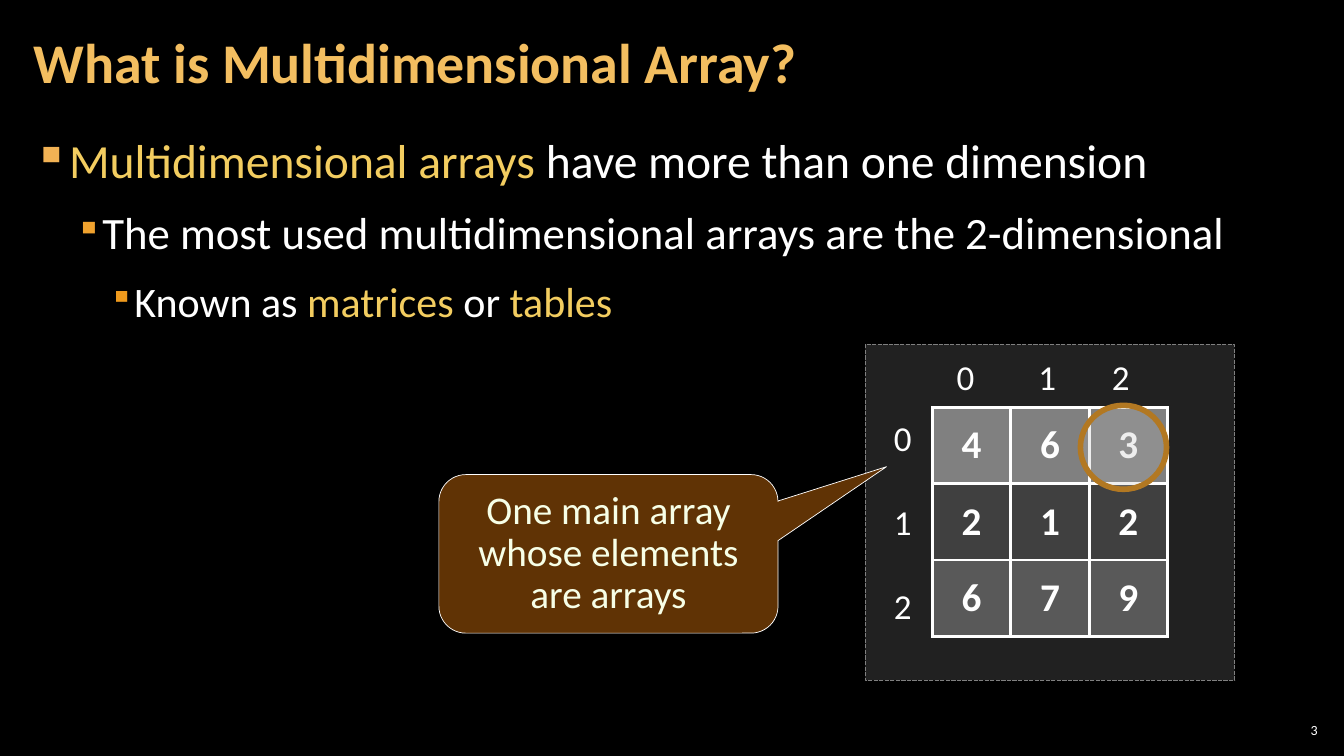
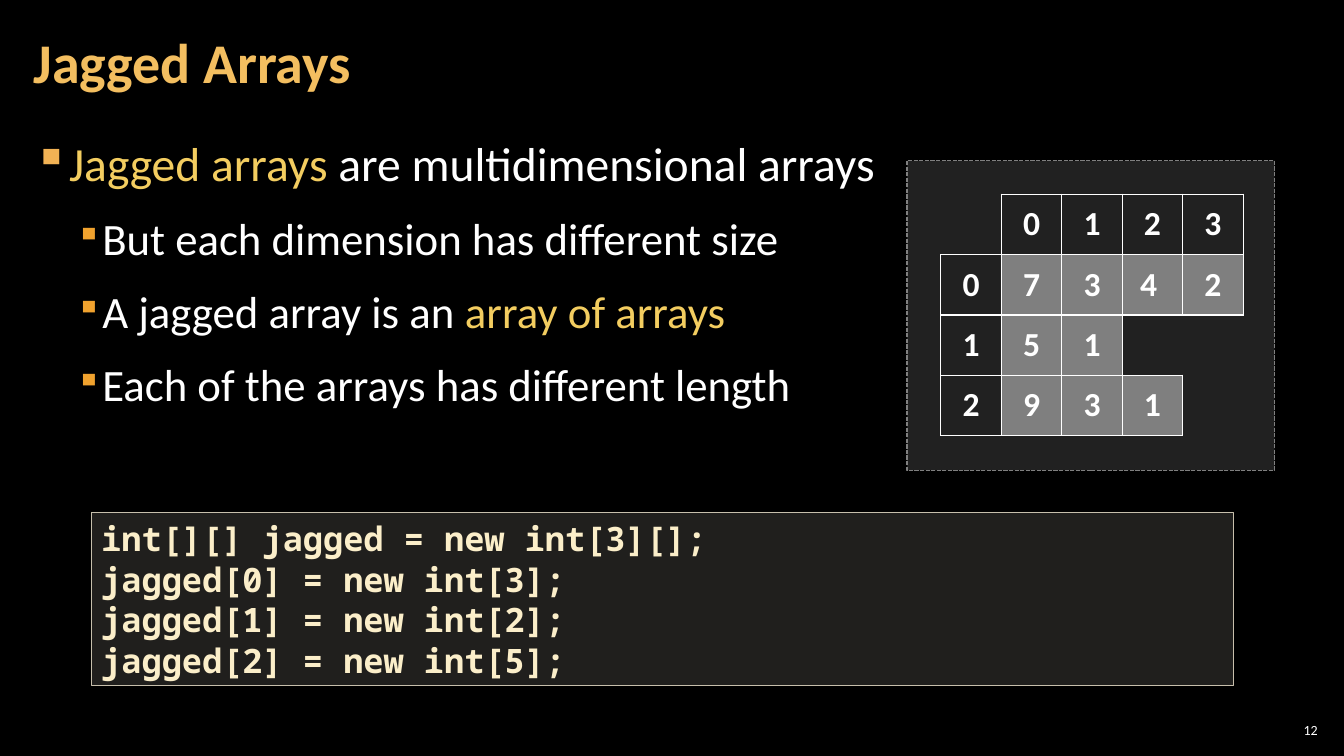
import lxml.etree
import pptx
import pptx.dml.color
import pptx.enum.dml
import pptx.enum.shapes
import pptx.enum.text
import pptx.oxml.ns
import pptx.util

RGB = pptx.dml.color.RGBColor
Pt = pptx.util.Pt
qn = pptx.oxml.ns.qn
SHAPE = pptx.enum.shapes.MSO_SHAPE
ALIGN = pptx.enum.text.PP_ALIGN
ANCHOR = pptx.enum.text.MSO_ANCHOR

SCALE = 9525  # EMU per px
BLACK = RGB(0x00, 0x00, 0x00)
WHITE = RGB(0xFF, 0xFF, 0xFF)
TITLE = RGB(0xF3, 0xBE, 0x60)
GOLD = RGB(0xF3, 0xCD, 0x60)
PANEL = RGB(0xA6, 0xA6, 0xA6)
GRAY = RGB(0x80, 0x80, 0x80)
MID = RGB(0x7F, 0x7F, 0x7F)
DARK = RGB(0x40, 0x40, 0x40)
SLATE = RGB(0x59, 0x59, 0x59)
BROWN = RGB(0x66, 0x36, 0x06)
CREAM = RGB(0xF7, 0xFF, 0xE7)
SILVER = RGB(0xBF, 0xBF, 0xBF)
BRONZE = RGB(0xB2, 0x78, 0x22)
SAND = RGB(0xD9, 0xD5, 0xC7)
EDGE = RGB(0xC7, 0xBF, 0xAC)
CODE = RGB(0xFB, 0xEE, 0xC9)

FONT = "Calibri"
MONO = "Noto Sans Mono"

# One entry per level: indent, hang, text size, bullet colour, bullet percent
LEVELS = (
    (32, 32, 34, "F2B254", 100),
    (64, 24, 32, "F0A22E", 80),
    (96, 24, 30, "EF9A1D", 80),
)
# Border tag and the step to the cell on its other side
SIDES = (("L", 0, -1), ("R", 0, 1), ("T", -1, 0), ("B", 1, 0))


def px(*sizes):
    return [size * SCALE for size in sizes]


def add_tag(parent, tag, **attrs):
    return lxml.etree.SubElement(parent, qn(tag), attrs)


def style(para, size, color, bold=False, name=FONT, align=ALIGN.LEFT):
    font = para.font
    font.size, font.bold, font.name = Pt(size), bold, name
    font.color.rgb = color
    para.alignment = align


def inset(frame, side, top):
    frame.margin_left, frame.margin_right = px(side, side)
    frame.margin_top, frame.margin_bottom = px(top, top)


def add_box(slide, box):
    frame = slide.shapes.add_textbox(*px(*box)).text_frame
    frame.word_wrap = True
    return frame


def add_shape(slide, kind, box, fill, alpha, line, width):
    """Add a shape whose fill is alpha percent opaque."""
    shape = slide.shapes.add_shape(kind, *px(*box))
    shape.shadow.inherit = False
    shape.fill.solid()
    shape.fill.fore_color.rgb = fill
    color = shape.element.spPr.find(qn("a:solidFill"))[0]
    add_tag(color, "a:alpha", val=str(alpha * 1000))
    shape.line.color.rgb = line
    shape.line.width = Pt(width)
    return shape


def add_panel(slide, box):
    panel = add_shape(slide, SHAPE.RECTANGLE, box, PANEL, 20, GRAY, 1)
    panel.line.dash_style = pptx.enum.dml.MSO_LINE.SQUARE_DOT


def add_edge(cell, side, width, shown):
    line = add_tag(cell._tc.get_or_add_tcPr(), "a:ln" + side, w=str(Pt(width)))
    if shown:
        add_tag(add_tag(line, "a:solidFill"), "a:srgbClr", val=str(WHITE))
    else:
        add_tag(line, "a:noFill")


def add_grid(slide, box, rows, size, width, pick):
    """Add a table; pick(row, col) gives a fill, and blank cells share no edge."""
    left, top, wide, high = px(*box)
    grid = slide.shapes.add_table(
        len(rows), len(rows[0]), left, top, wide, high).table
    grid.first_row = grid.horz_banding = False
    for col in grid.columns:
        col.width = wide // len(rows[0])
    for row in grid.rows:
        row.height = high // len(rows)
    texts = {(r, c): text for r, row in enumerate(rows)
             for c, text in enumerate(row)}
    for (r, c), text in texts.items():
        cell = grid.cell(r, c)
        for side, down, right in SIDES:
            near = texts.get((r + down, c + right))
            add_edge(cell, side, width, text or near)
        fill = pick(r, c) if text else None
        if fill is None:
            cell.fill.background()
        else:
            cell.fill.solid()
            cell.fill.fore_color.rgb = fill
        cell.vertical_anchor = ANCHOR.MIDDLE
        cell.text = text
        style(cell.text_frame.paragraphs[0], size, WHITE, True,
              align=ALIGN.CENTER)


def add_slide(deck, title, number):
    slide = deck.slides.add_slide(deck.slide_layouts[5])
    head = slide.shapes.title
    head.left, head.top, head.width, head.height = px(20, 4, 1005, 116)
    frame = head.text_frame
    frame.text = title
    frame.auto_size = pptx.enum.text.MSO_AUTO_SIZE.NONE
    frame.vertical_anchor = ANCHOR.MIDDLE
    inset(frame, 12, 4)
    para = frame.paragraphs[0]
    para.line_spacing = 0.9
    style(para, 40, TITLE, True)

    foot = add_box(slide, (1214, 685, 45, 20))
    inset(foot, 4, 4)
    foot.vertical_anchor = ANCHOR.MIDDLE
    foot.text = number
    style(foot.paragraphs[0], 10, WHITE, align=ALIGN.RIGHT)
    return slide


def add_body(slide, items, spacing):
    """Add bullets; an item is its level and runs, with gold runs in a tuple."""
    frame = add_box(slide, (20, 121, 1239, 585))
    inset(frame, 12, 4)
    for i, (level, *runs) in enumerate(items):
        para = frame.add_paragraph() if i else frame.paragraphs[0]
        indent, hang, size, color, percent = LEVELS[level]
        para.level = level
        para.line_spacing = spacing
        para.space_before = para.space_after = Pt(6)
        props = para._p.get_or_add_pPr()
        props.set("marL", str(indent * SCALE))
        props.set("indent", str(-hang * SCALE))
        add_tag(add_tag(props, "a:buClr"), "a:srgbClr", val=color)
        add_tag(props, "a:buSzPct", val=str(percent * 1000))
        add_tag(props, "a:buChar", char="▪")
        style(para, size, WHITE)
        for part in runs:
            gold = isinstance(part, tuple)
            run = para.add_run()
            run.text = part[0] if gold else part
            run.font.color.rgb = GOLD if gold else WHITE


def add_matrix(slide, box):
    left, top = box[:2]
    add_panel(slide, box)

    heads = add_box(slide, (left + 64, top + 6, 224, 50))
    heads.text = "\t0\t1\t2"
    para = heads.paragraphs[0]
    tabs = add_tag(para._p.get_or_add_pPr(), "a:tabLst")
    for stop in px(22, 100, 170):
        add_tag(tabs, "a:tab", pos=str(stop), algn="ctr")
    style(para, 25, WHITE)

    sides = add_box(slide, (left + 18, top + 64, 40, 211))
    sides.text = "0\n1\n2"
    for i, para in enumerate(sides.paragraphs):
        para.space_before = Pt(30 if i else 0)
        style(para, 25, WHITE)

    fills = (GRAY, DARK, SLATE)
    add_grid(slide, (left + 64, top + 60, 224, 218), ("463", "212", "679"),
             28, 2.25, lambda r, c: fills[r])
    add_shape(slide, SHAPE.OVAL, (left + 205, top + 58, 82, 80),
              SILVER, 25, BRONZE, 4)


def add_callout(slide, box, text):
    shape = add_shape(slide, SHAPE.ROUNDED_RECTANGULAR_CALLOUT, box,
                      BROWN, 95, WHITE, 0.5)
    for i, value in enumerate((0.82, -0.55, 0.17)):
        shape.adjustments[i] = value
    frame = shape.text_frame
    frame.word_wrap = True
    inset(frame, 10, 8)
    frame.text = text
    para = frame.paragraphs[0]
    para.line_spacing = Pt(30)
    style(para, 28, CREAM, align=ALIGN.CENTER)


def add_jagged(slide, box):
    left, top = box[:2]
    add_panel(slide, box)
    rows = (
        ("", "0", "1", "2", "3"),
        ("0", "7", "3", "4 ", "2"),
        ("1", "5", "1", "", ""),
        ("2", "9", "3", "1", ""),
    )
    add_grid(slide, (left + 32, top + 32, 288, 230), rows, 24, 1,
             lambda r, c: MID if r and c else None)


def add_code(slide, box, text):
    shape = add_shape(slide, SHAPE.RECTANGLE, box, SAND, 15, EDGE, 1)
    frame = shape.text_frame
    frame.word_wrap = True
    frame.text = text
    for para in frame.paragraphs:
        para.line_spacing = Pt(29)
        style(para, 24, CODE, True, MONO)


def main():
    deck = pptx.Presentation()
    deck.slide_width, deck.slide_height = px(1280, 720)
    back = deck.slide_master.background.fill
    back.solid()
    back.fore_color.rgb = BLACK

    slide = add_slide(deck, "What is Multidimensional Array?", "3")
    add_body(slide, (
        (0, ("Multidimensional arrays",), " have more than one dimension"),
        (1, "The most used multidimensional arrays are the 2-dimensional"),
        (2, "Known as ", ("matrices",), " or ", ("tables",)),
    ), 1.0)
    add_matrix(slide, (824, 328, 352, 320))
    add_callout(slide, (418, 452, 323, 151),
                "One main array whose elements are arrays")

    slide = add_slide(deck, "Jagged Arrays", "12")
    add_body(slide, (
        (0, ("Jagged arrays ",), "are multidimensional arrays"),
        (1, "But each dimension has different size"),
        (1, "A jagged array is an ", ("array of arrays",)),
        (1, "Each of the arrays has different length"),
    ), 1.05)
    add_jagged(slide, (864, 153, 350, 295))
    add_code(slide, (87, 488, 1088, 165),
             "int[][] jagged = new int[3][];\n"
             "jagged[0] = new int[3];\n"
             "jagged[1] = new int[2];\n"
             "jagged[2] = new int[5];")
    deck.save("out.pptx")


if __name__ == "__main__":
    main()
